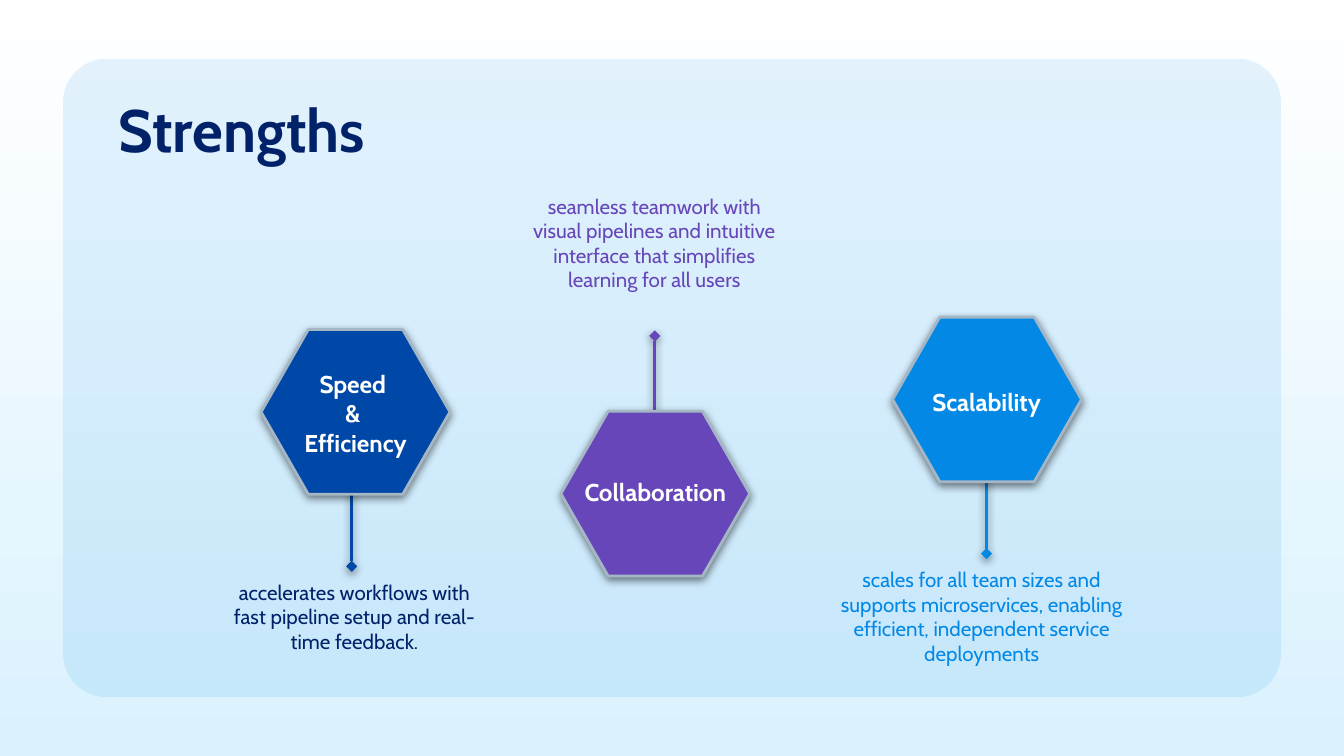
from lxml import etree
from pptx import Presentation
from pptx import oxml
from pptx import util as u
from pptx.dml.color import RGBColor
from pptx.enum import shapes, text
from pptx.oxml import ns

Pt = u.Pt
HUES = {"navy": "012169", "blue": "0048A7", "plum": "6746B9", "sky": "0388E5",
        "edge": "A5B7C5", "white": "FFFFFF", "pale": "DAF2FE"}
RGB = {name: RGBColor.from_string(code) for name, code in HUES.items()}
SHADE = ('<a:effectLst %s><a:outerShdw blurRad="57150" dist="19050" dir="5400000" '
         'algn="bl" rotWithShape="0"><a:srgbClr val="000000"><a:alpha val="50000"/>'
         '</a:srgbClr></a:outerShdw></a:effectLst>' % ns.nsdecls("a"))


def style(shape, hue):
    """Set the outline, then the soft shadow below it."""
    shape.line.color.rgb = RGB[hue]
    shape.line.width = Pt(1.5)
    shape._element.spPr.append(oxml.parse_xml(SHADE))


def write(home, box, lines, size, hue, bold=False, align=text.PP_ALIGN.CENTER):
    frame = home.add_textbox(*[Pt(n) for n in box]).text_frame
    frame.word_wrap = True
    frame.margin_left = frame.margin_right = Pt(7.2)
    frame.margin_top = frame.margin_bottom = Pt(7.2)
    for i, line in enumerate(lines):
        para = frame.add_paragraph() if i else frame.paragraphs[0]
        para.alignment = align
        run = para.add_run()
        run.text = line
        run.font.name = "Cabin"
        run.font.size = Pt(size)
        run.font.bold = bold
        run.font.color.rgb = RGB[hue]


deck = Presentation()
deck.slide_width, deck.slide_height = Pt(720), Pt(405)
slide = deck.slides.add_slide(deck.slide_layouts[6])

# Background, white fading down to pale blue
back = slide.background.fill
back.gradient()
back.gradient_angle = 270
for stop, hue in zip(back.gradient_stops, ("white", "pale")):
    stop.color.rgb = RGB[hue]

# Translucent panel
panel = slide.shapes.add_shape(shapes.MSO_SHAPE.ROUNDED_RECTANGLE,
                               Pt(33.75), Pt(31.5), Pt(652.5), Pt(342))
panel.adjustments[0] = 0.068
panel.shadow.inherit = False
panel.line.fill.background()
panel.fill.solid()
panel.fill.fore_color.rgb = RGB["sky"]
tint = panel._element.spPr.find(".//" + ns.qn("a:srgbClr"))
etree.SubElement(tint, ns.qn("a:alpha"), val="10000")

# Title
write(slide.shapes, (56.2, 42.5, 607.7, 52.6), ["Strengths"], 32, "navy", True,
      text.PP_ALIGN.LEFT)

# Strengths: hue, hexagon corner, stem (x, from, to), label, note
WIDE, HIGH, CUT = 101.2, 88.2, 25.3
items = [
    ("blue", (139.9, 176.6), (188.4, 261.4, 303.4),
     (151.2, 190.8, 78.5, 54.7), ["Speed ", "& ", "Efficiency"],
     (117.2, 303.4, 145.4, 54.7), "navy",
     "accelerates workflows with fast pipeline setup and real-time feedback."),
    ("plum", (300.5, 220.4), (350.8, 222.5, 180),
     (295.9, 248.4, 110.2, 30.2), ["Collaboration"],
     (277.9, 96.5, 145.4, 81.4), "plum",
     "seamless teamwork with visual pipelines and intuitive interface "
     "that simplifies learning for all users"),
    ("sky", (478.2, 169.9), (528.5, 254.9, 296.6),
     (470.9, 200.2, 115.2, 30.2), ["Scalability"],
     (438.5, 296.6, 175, 67.7), "sky",
     "scales for all team sizes and supports microservices, enabling "
     "efficient, independent service deployments"),
]
for hue, (left, top), (x, start, end), spot, label, area, ink, note in items:
    group = slide.shapes.add_group_shape().shapes

    # Stem with a diamond tip
    stem = group.add_connector(shapes.MSO_CONNECTOR.STRAIGHT,
                               Pt(x), Pt(start), Pt(x), Pt(end))
    style(stem, hue)
    etree.SubElement(stem.line._get_or_add_ln(), ns.qn("a:tailEnd"), type="diamond")

    # Hexagon
    mid, low = top + HIGH / 2, top + HIGH
    ring = [(left, mid), (left + CUT, low), (left + WIDE - CUT, low),
            (left + WIDE, mid), (left + WIDE - CUT, top)]
    pen = group.build_freeform(Pt(left + CUT), Pt(top))
    pen.add_line_segments([(Pt(a), Pt(b)) for a, b in ring], close=True)
    hexagon = pen.convert_to_shape()
    hexagon.fill.solid()
    hexagon.fill.fore_color.rgb = RGB[hue]
    style(hexagon, "edge")

    # Label and note
    write(group, spot, label, 13, "white", True)
    write(group, area, [note], 11, ink)

deck.save("out.pptx")
